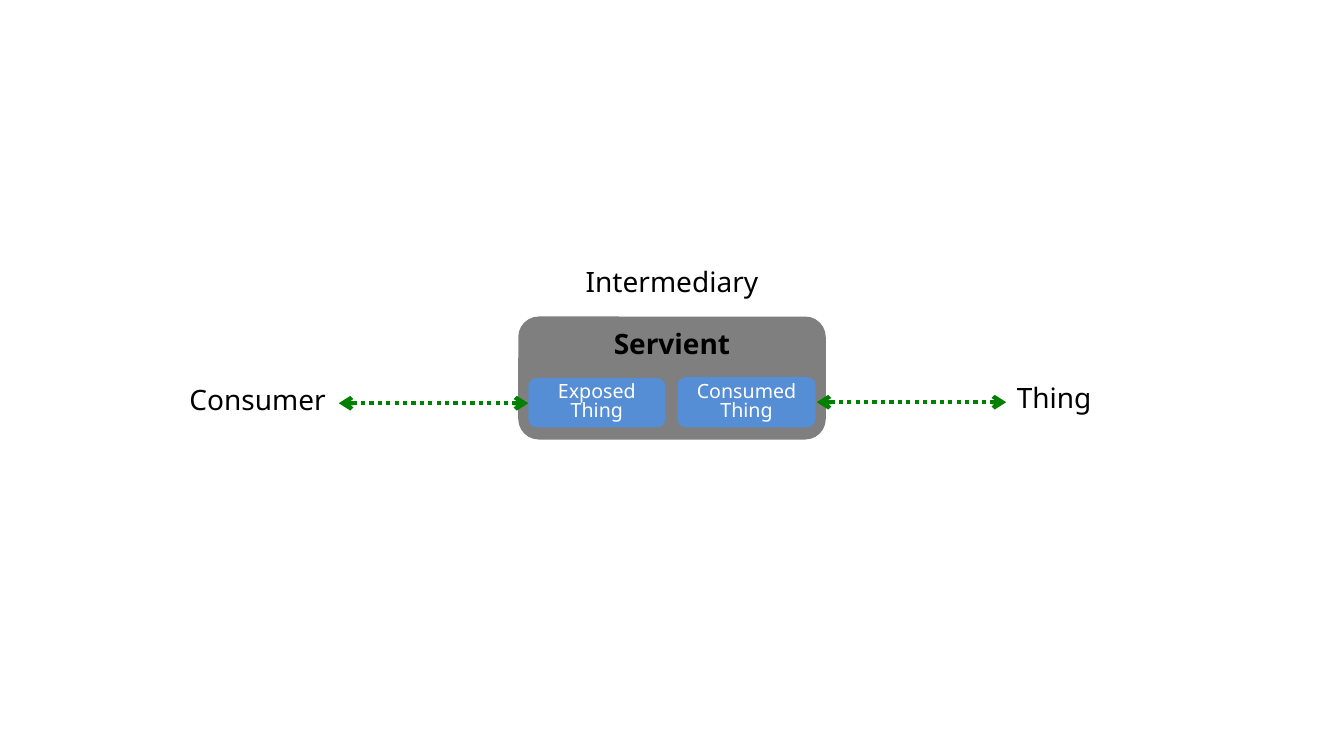
from lxml.etree import SubElement
from pptx import Presentation
from pptx.dml.color import RGBColor
from pptx.enum.dml import MSO_LINE
from pptx.enum.shapes import MSO_CONNECTOR, MSO_SHAPE
from pptx.enum.text import MSO_ANCHOR, PP_ALIGN
from pptx.oxml.ns import qn
from pptx.util import Inches, Pt

COLORS = {
    "text": "000000",
    "servient": "7F7F7F",
    "thing": "558ED5",
    "thing_text": "FFFFFF",
    "arrow": "008000",
}


def write(shape, text, size, color, bold=False, spacing=None):
    shape.text_frame.text = text
    for paragraph in shape.text_frame.paragraphs:
        paragraph.alignment = PP_ALIGN.CENTER
        paragraph.line_spacing = spacing
        for run in paragraph.runs:
            run.font.name = "Noto Sans"
            run.font.size = Pt(size)
            run.font.bold = bold
            run.font.color.rgb = RGBColor.from_string(COLORS[color])


def add_box(left, top, width, height, fill):
    box = slide.shapes.add_shape(
        MSO_SHAPE.ROUNDED_RECTANGLE,
        Inches(left), Inches(top), Inches(width), Inches(height),
    )
    box.shadow.inherit = False
    box.fill.solid()
    box.fill.fore_color.rgb = RGBColor.from_string(COLORS[fill])
    box.line.fill.background()
    return box


presentation = Presentation()
presentation.slide_width = Inches(13.33)
presentation.slide_height = Inches(7.5)
slide = presentation.slides.add_slide(presentation.slide_layouts[6])

servient = add_box(5.14, 3.14, 3.05, 1.22, "servient")
servient_frame = servient.text_frame
servient_frame.vertical_anchor = MSO_ANCHOR.TOP
servient_frame.margin_left = servient_frame.margin_right = Inches(0.08)
servient_frame.margin_top = servient_frame.margin_bottom = Inches(0.04)
write(servient, "Servient", 20, "text", bold=True)

for left, top, width, height, text in [
    (5.24, 3.75, 1.36, 0.49, "Exposed\nThing"),
    (6.72, 3.74, 1.37, 0.5, "Consumed\nThing"),
]:
    thing = add_box(left, top, width, height, "thing")
    thing.text_frame.vertical_anchor = MSO_ANCHOR.MIDDLE
    thing.text_frame.word_wrap = False
    write(thing, text, 14, "thing_text", spacing=0.8)

for left, top, width, text in [
    (5.7, 2.58, 1.93, "Intermediary"),
    (9.98, 3.73, 0.95, "Thing"),
    (1.77, 3.75, 1.57, "Consumer"),
]:
    label = slide.shapes.add_textbox(Inches(left), Inches(top), Inches(width), Inches(0.44))
    label.text_frame.word_wrap = False
    write(label, text, 20, "text")

for start, y in [(8.1, 3.99), (3.36, 4)]:
    arrow = slide.shapes.add_connector(
        MSO_CONNECTOR.STRAIGHT, Inches(start), Inches(y), Inches(start + 1.88), Inches(y)
    )
    arrow.line.color.rgb = RGBColor.from_string(COLORS["arrow"])
    arrow.line.width = Pt(3)
    arrow.line.dash_style = MSO_LINE.ROUND_DOT
    properties = arrow._element.spPr
    line = properties.find(qn("a:ln"))
    for end in ("a:headEnd", "a:tailEnd"):
        SubElement(line, qn(end), type="arrow")
    SubElement(properties, qn("a:effectLst"))

presentation.save("out.pptx")
